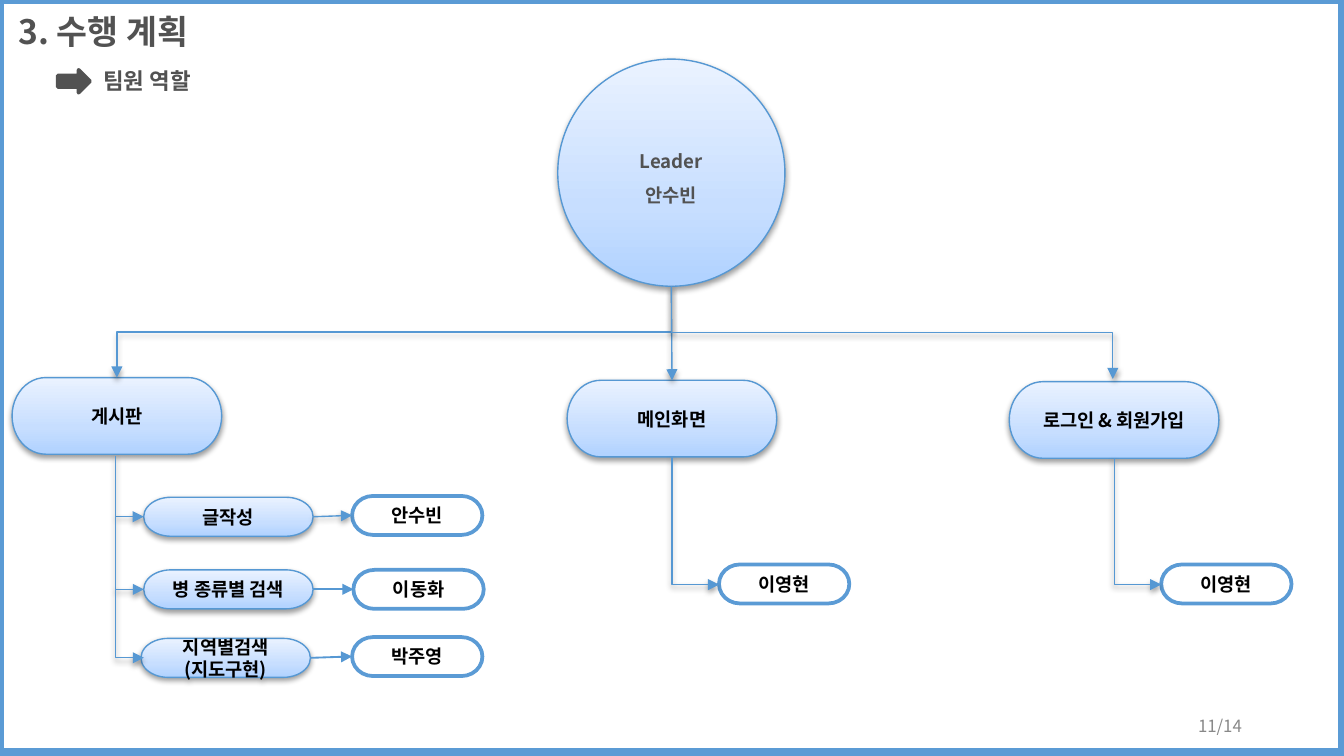
from lxml import etree
from pptx import Presentation
from pptx.dml.color import RGBColor
from pptx.enum import shapes as sh, text as tx
from pptx.oxml import parse_xml
from pptx.oxml.ns import qn
from pptx.util import Inches, Pt

BLUE = RGBColor(0x5B, 0x9B, 0xD5)
EDGE = RGBColor(0x56, 0x98, 0xD3)
GRAY = RGBColor(0x52, 0x52, 0x52)
PALE = RGBColor(0x88, 0x88, 0x88)
BLACK = RGBColor(0, 0, 0)
WHITE = RGBColor(255, 255, 255)
STOPS = ((0, RGBColor(0xB0, 0xD2, 0xFF)), (35, RGBColor(0xC7, 0xDE, 0xFF)),
         (100, RGBColor(0xEA, 0xF2, 0xFF)))
FONT = "Noto Sans CJK KR"
NS = 'xmlns:a="http://schemas.openxmlformats.org/drawingml/2006/main"'
SHAPE = sh.MSO_SHAPE
LINE = sh.MSO_CONNECTOR
ALIGN = tx.PP_ALIGN
WIDE = 10
HIGH = WIDE * 9 / 16
ROLE = (1.56, 0.57)
TASK = (1.26, 0.29)
NAME = (0.97, 0.29)


def write(frame, lines, size, color, bold=True, align=ALIGN.CENTER, gap=None):
    for i, line in enumerate(lines):
        para = frame.paragraphs[0] if i == 0 else frame.add_paragraph()
        para.alignment = align
        para.line_spacing = gap
        run = para.add_run()
        run.text = line
        font = run.font
        font.size, font.bold, font.name = Pt(size), bold, FONT
        font.color.rgb = color
        etree.SubElement(font._element, qn("a:ea")).set("typeface", FONT)


def label(slide, box, line, size, color, wrap=True, **style):
    area = slide.shapes.add_textbox(*map(Inches, box))
    area.text_frame.word_wrap = wrap
    write(area.text_frame, [line], size, color, **style)
    return area.text_frame


def cast(item):
    """Soft shadow straight below."""
    props = item._element.spPr
    for old in props.findall(qn("a:effectLst")):
        props.remove(old)
    props.append(parse_xml(
        f'<a:effectLst {NS}><a:outerShdw blurRad="{Pt(3.1)}" dist="{Pt(1.6)}" '
        'dir="5400000" rotWithShape="0"><a:srgbClr val="000000">'
        '<a:alpha val="38000"/></a:srgbClr></a:outerShdw></a:effectLst>'))


def shade(shape):
    """Blue gradient, light at the top."""
    stops = "".join(f'<a:gs pos="{at * 1000}"><a:srgbClr val="{color}"/></a:gs>'
                    for at, color in STOPS)
    shape._element.spPr.find(qn("a:prstGeom")).addnext(parse_xml(
        f'<a:gradFill {NS} rotWithShape="1"><a:gsLst>{stops}</a:gsLst>'
        '<a:lin ang="16200000" scaled="0"/></a:gradFill>'))


def plain(slide, kind, box, fill, line, width):
    shape = slide.shapes.add_shape(kind, *map(Inches, box))
    shape.shadow.inherit = False
    if fill is None:
        shape.fill.background()
    else:
        shape.fill.solid()
        shape.fill.fore_color.rgb = fill
    shape.line.color.rgb, shape.line.width = line, Pt(width)
    return shape


def node(slide, x, y, size, lines, kind=SHAPE.FLOWCHART_TERMINATOR,
         glossy=True, color=BLACK, gap=None):
    box = (x, y, *size)
    if glossy:
        shape = slide.shapes.add_shape(kind, *map(Inches, box))
        shade(shape)
        shape.line.color.rgb, shape.line.width = EDGE, Pt(0.75)
        cast(shape)
    else:
        shape = plain(slide, kind, box, WHITE, BLUE, 2)
    shape.text_frame.vertical_anchor = tx.MSO_ANCHOR.MIDDLE
    write(shape.text_frame, lines, 10, color, gap=gap)
    return shape


def finish(link, width=0.75, shadow=True):
    link.line.color.rgb, link.line.width = EDGE, Pt(width)
    etree.SubElement(link.line._get_or_add_ln(), qn("a:tailEnd")).set("type", "triangle")
    if shadow:
        cast(link)
    else:
        etree.SubElement(link._element.spPr, qn("a:effectLst"))


def arrow(slide, start, end, **style):
    """Straight arrow; it starts at a point or a (shape, side) pair."""
    link = slide.shapes.add_connector(LINE.STRAIGHT, 0, 0, 0, 0)
    if isinstance(start[0], (int, float)):
        link.begin_x, link.begin_y = map(Inches, start)
    else:
        link.begin_connect(*start)
    link.end_connect(*end)
    finish(link, **style)


def elbow(slide, start, end, bends):
    """Arrow that leaves downwards: one bend to the right, or two either way."""
    (x, y), (ex, ey) = start, end
    wide, tall = abs(ex - x), ey - y
    left, top = (x + ex - tall) / 2, (y + ey - wide) / 2
    link = slide.shapes.add_connector(
        LINE.ELBOW, *map(Inches, (left, top, left + tall, top + wide)))
    props = link._element.spPr
    props.find(qn("a:prstGeom")).set("prst", f"bentConnector{bends + 1}")
    turn = props.find(qn("a:xfrm"))
    if ex > x:
        turn.set("rot", "16200000")
        turn.set("flipH", "1")
    else:
        turn.set("rot", "5400000")
    finish(link)


def heading(slide, x, y):
    label(slide, (x, y, 1.73, 0.4), "3. 수행 계획", 18, GRAY, align=ALIGN.LEFT)
    plain(slide, SHAPE.RIGHT_ARROW, (x + 0.39, y + 0.49, 0.24, 0.17), GRAY, GRAY, 2)
    label(slide, (x + 0.63, y + 0.42, 0.91, 0.3), "팀원 역할", 12, GRAY,
          wrap=False, align=ALIGN.LEFT)


def footer(slide, box):
    frame = label(slide, box, "11/14", 9, PALE, bold=False, align=ALIGN.RIGHT)
    frame.vertical_anchor = tx.MSO_ANCHOR.MIDDLE
    frame.margin_left = frame.margin_right = Inches(0.07)
    frame.margin_top = frame.margin_bottom = Inches(0.04)


def board(slide, x, y):
    """Role with three tasks, each with its member."""
    node(slide, x, y, ROLE, ["게시판"])
    # task lines, member, task offset, member offset
    rows = ((["글작성"], "안수빈", (0.98, 0.89), (2.53, 0.88)),
            (["병 종류별 검색"], "이동화", (0.98, 1.43), (2.54, 1.43)),
            (["지역별검색", "(지도구현)"], "박주영", (0.96, 1.94), (2.53, 1.93)))
    trunk = x + 0.77
    for i, (lines, who, (dx, dy), (mx, my)) in enumerate(rows):
        task = node(slide, x + dx, y + dy, TASK, lines)
        member = node(slide, x + mx, y + my, NAME, [who], glossy=False)
        first = i == 0
        arrow(slide, (task, 3), (member, 1), width=0.75 if first else 1, shadow=first)
        mid = y + dy + TASK[1] / 2
        if first:
            arrow(slide, (trunk, mid), (task, 1))
        else:
            start = y + (0.58 if i == 1 else 1.57)
            elbow(slide, (trunk, start), (x + 0.98, mid), 1)


def column(slide, x, y, role):
    """Role with a single member below it."""
    shape = node(slide, x, y, ROLE, [role])
    node(slide, x + 1.13, 4.2, NAME, ["이영현"], glossy=False)
    elbow(slide, (x + ROLE[0] / 2, y + ROLE[1]), (x + 1.13, 4.35), 1)
    return shape


def leader(slide, x, y, size, main):
    node(slide, x, y, (size, size), ["Leader", "안수빈"], SHAPE.OVAL,
         color=GRAY, gap=1.5)
    foot = (x + size / 2, y + size)
    arrow(slide, foot, (main, 0))
    for end in ((0.87, 2.81), (8.28, 2.82)):
        elbow(slide, foot, end, 2)


def main():
    deck = Presentation()
    deck.slide_width, deck.slide_height = Inches(WIDE), Inches(HIGH)
    slide = deck.slides.add_slide(deck.slide_layouts[6])
    # Frame and titles
    plain(slide, SHAPE.RECTANGLE, (0, 0, 9.99, 5.6), None, BLUE, 4.5)
    heading(slide, 0.04, 0.03)
    footer(slide, (7.06, 5.25, 2.25, 0.3))
    # Team chart
    board(slide, 0.09, 2.81)
    screen = column(slide, 4.22, 2.83, "메인화면")
    column(slide, 7.51, 2.84, "로그인 & 회원가입")
    leader(slide, 4.15, 0.44, 1.69, screen)
    deck.save("out.pptx")


if __name__ == "__main__":
    main()
